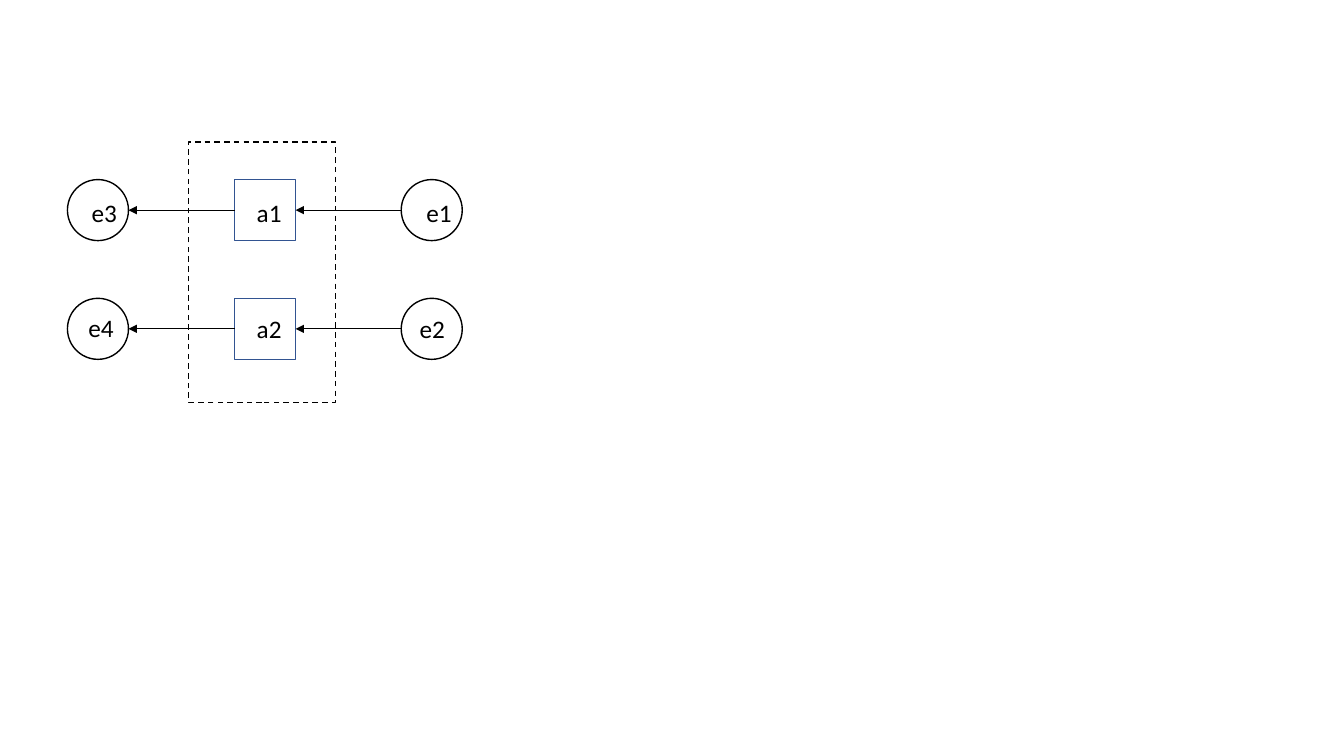
from pptx import Presentation
from pptx.dml.color import RGBColor
from pptx.enum import dml, shapes, text
from pptx.oxml import ns, xmlchemy
from pptx.util import Pt

BLACK = RGBColor(0x00, 0x00, 0x00)
BLUE = RGBColor(0x32, 0x54, 0x91)
BOX = (48.2, 101.5)  # left and top of the diagram
NODE = 43.6
COLUMNS = (0, 119.4, 238.4)
ROWS = (26.8, 111.6)
FRAME = (86.4, 0, 105.1, 185.8)
RECTANGLE = shapes.MSO_SHAPE.RECTANGLE
OVAL = shapes.MSO_SHAPE.OVAL

# Label, column, row, label offset inside the node
NODES = (
    ("a1", 1, 0, 8.7, 9.4),
    ("a2", 1, 1, 8.7, 7.2),
    ("e1", 2, 0, 10.8, 9.4),
    ("e2", 2, 1, 6, 7.2),
    ("e3", 0, 0, 10.1, 9.4),
    ("e4", 0, 1, 7.9, 6.5),
)


def apply_format(target, values):
    for name, value in values.items():
        setattr(target, name, value)


def add_outline(slide, kind, left, top, width, height, color):
    shape = slide.shapes.add_shape(kind, Pt(left), Pt(top), Pt(width), Pt(height))
    shape.shadow.inherit = False
    shape.fill.background()
    shape.line.color.rgb = color
    shape.line.width = Pt(1)
    return shape


def add_label(slide, label, left, top):
    box = slide.shapes.add_textbox(Pt(left), Pt(top), Pt(44), Pt(29))
    apply_format(box.text_frame, {
        "text": label, "word_wrap": True,
        "auto_size": text.MSO_AUTO_SIZE.SHAPE_TO_FIT_TEXT})
    font = box.text_frame.paragraphs[0].runs[0].font
    apply_format(font, {"name": "Calibri", "size": Pt(18)})
    font.color.rgb = BLACK


def add_arrow(slide, start, end, height):
    arrow = slide.shapes.add_connector(
        shapes.MSO_CONNECTOR.STRAIGHT, Pt(start), Pt(height), Pt(end), Pt(height))
    arrow.line.color.rgb = BLACK
    arrow.line.width = Pt(0.5)
    head = xmlchemy.OxmlElement("a:tailEnd")
    head.set("type", "triangle")
    properties = arrow.line._get_or_add_ln()
    properties.append(head)
    properties.getparent().append(properties.makeelement(ns.qn("a:effectLst")))


def build_diagram(slide, left, top):
    # Nodes: squares in the middle column, circles on both sides
    for _, column, row, _, _ in NODES:
        kind, color = (RECTANGLE, BLUE) if column == 1 else (OVAL, BLACK)
        add_outline(slide, kind, left + COLUMNS[column], top + ROWS[row],
                    NODE, NODE, color)

    # Arrows run from each column to the one on its left
    for row in ROWS:
        for target, source in zip(COLUMNS, COLUMNS[1:]):
            add_arrow(slide, left + source, left + target + NODE,
                      top + row + NODE / 2)

    # Labels
    for label, column, row, offset_x, offset_y in NODES:
        add_label(slide, label, left + COLUMNS[column] + offset_x,
                  top + ROWS[row] + offset_y)

    # Dashed frame around the middle column
    x, y, width, height = FRAME
    frame = add_outline(slide, RECTANGLE, left + x, top + y, width, height, BLACK)
    frame.line.dash_style = dml.MSO_LINE.DASH


presentation = Presentation()
apply_format(presentation, {"slide_width": Pt(960), "slide_height": Pt(540)})
slide = presentation.slides.add_slide(presentation.slide_layouts[6])
build_diagram(slide, *BOX)
presentation.save("out.pptx")
